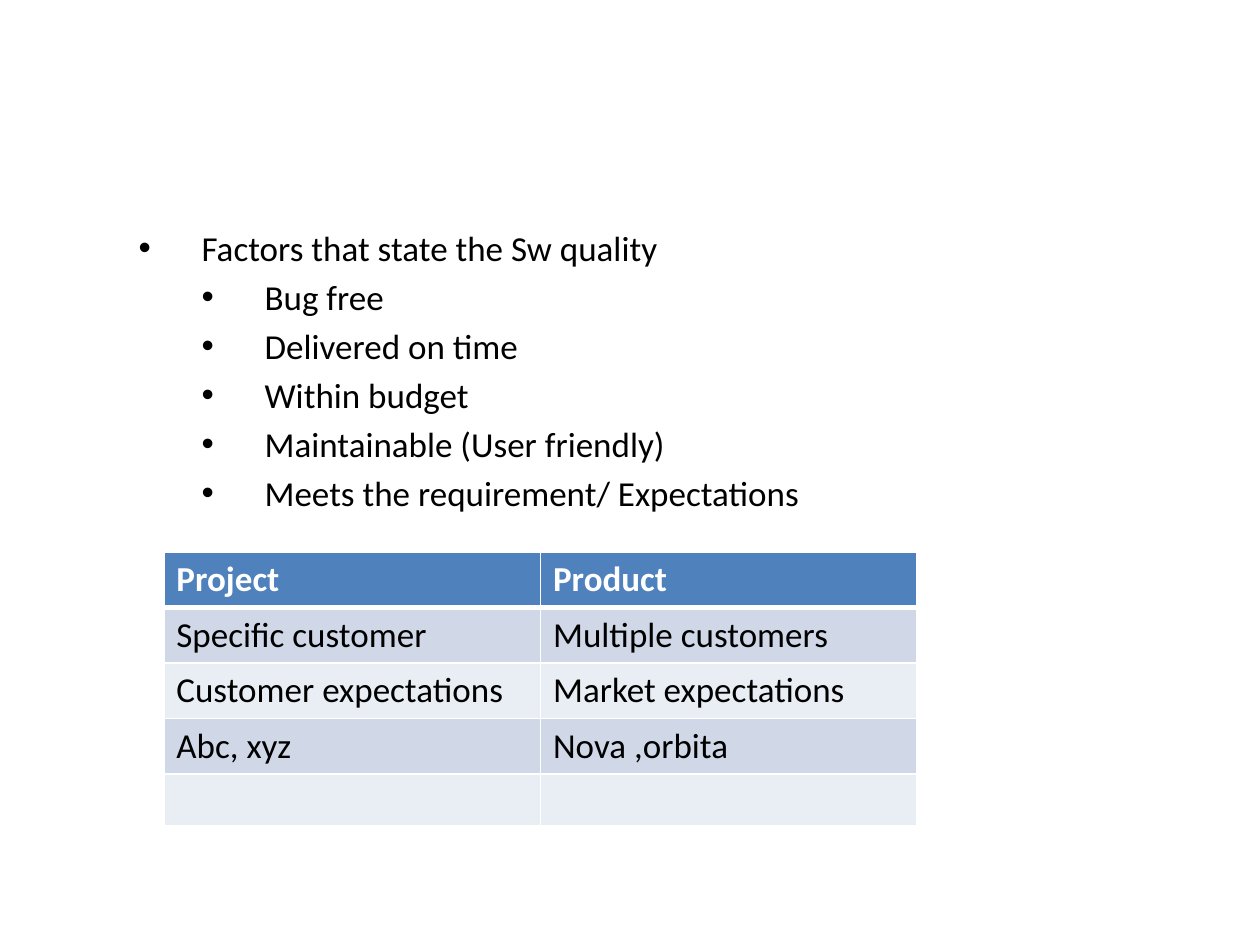
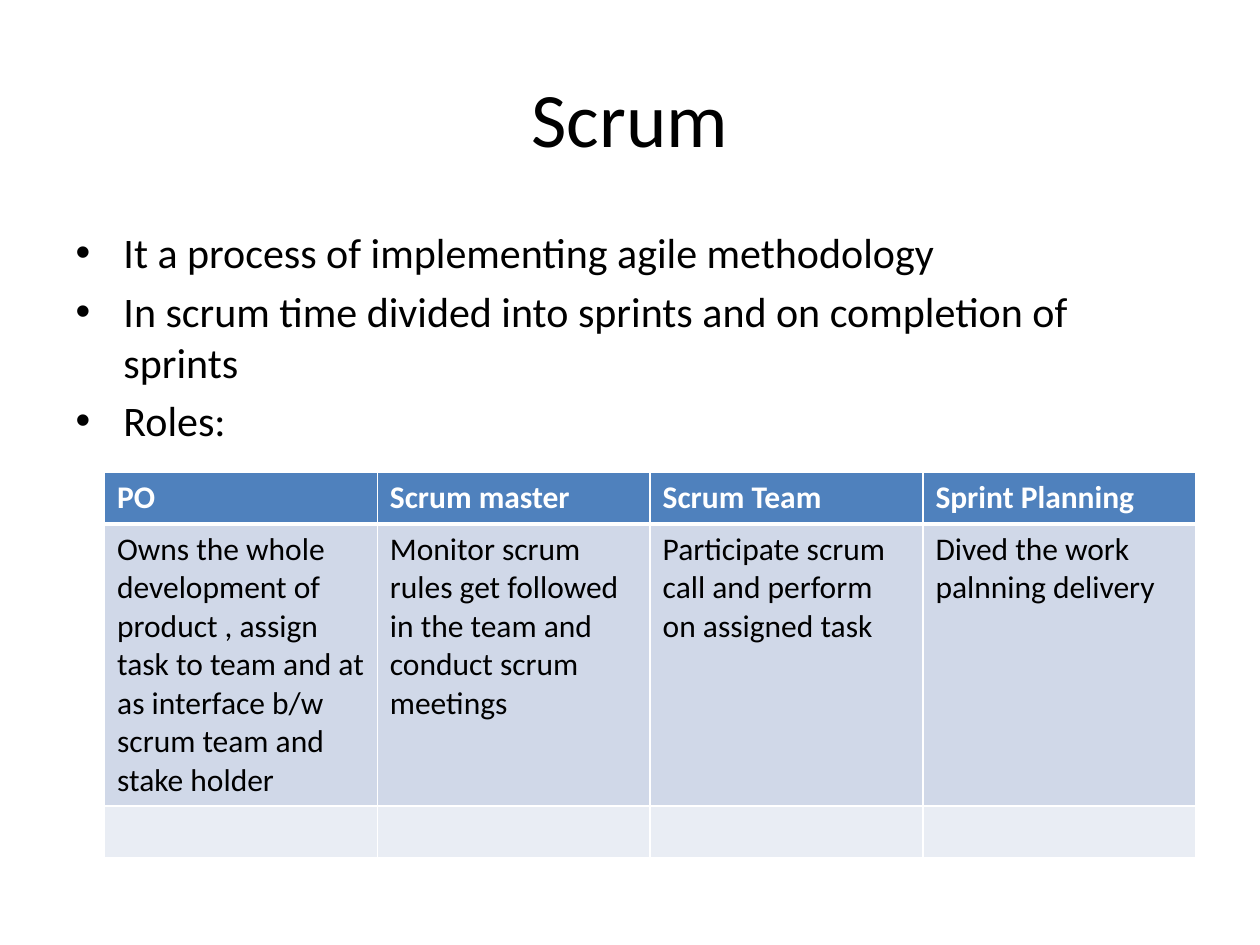
import pptx
import pptx.util
import pptx.dml.color
import pptx.enum.text
import pptx.oxml.ns
from lxml import etree

Inches, Pt = pptx.util.Inches, pptx.util.Pt

# Shared style
FONT = "Calibri"
COLORS = {"text": "000000", "header": "4F81BD", "header_text": "FFFFFF",
          "odd_row": "D0D8E8", "even_row": "E9EDF4", "border": "FFFFFF"}
TITLE_BOX = (0.5, 0.3, 9, 1.25)
BODY_BOX = (0.5, 1.75, 9, 4.95)
ROW_HEIGHT = 0.41
THIN, THICK = 1, 3
EMPTY_CELL_SIZE = 18

# Left margin and hanging indent of each list level, in inches
INDENTS = {0: (0.38, 0.38), 3: (1, 0.5), 4: (1.5, 0.5)}

# Content: list items are (level, text)
SLIDES = [
    {
        "title": None,
        "list_size": 20,
        "items": [
            (3, "Factors that state the Sw quality"),
            (4, "Bug free"),
            (4, "Delivered on time"),
            (4, "Within budget"),
            (4, "Maintainable (User friendly)"),
            (4, "Meets the requirement/ Expectations"),
        ],
        "table_at": (1.3, 4.38),
        "table_width": 5.98,
        "table_size": 20,
        "rows": [
            ("Project", "Product"),
            ("Specific customer", "Multiple customers"),
            ("Customer expectations", "Market expectations"),
            ("Abc, xyz", "Nova ,orbita"),
            ("", ""),
        ],
    },
    {
        "title": "Scrum",
        "list_size": 24,
        "items": [
            (0, "It a process of implementing agile methodology"),
            (0, "In scrum time divided into sprints and on completion of sprints"),
            (0, "Roles:"),
        ],
        "table_at": (0.83, 3.75),
        "table_width": 8.66,
        "table_size": 18,
        "rows": [
            ("PO", "Scrum master", "Scrum Team", "Sprint Planning"),
            ("Owns the whole development of product , assign task to team "
             "and at as interface b/w scrum team and stake holder",
             "Monitor scrum rules get followed in the team and conduct scrum meetings",
             "Participate scrum call and perform on assigned task",
             "Dived the work palnning delivery"),
            ("", "", "", ""),
        ],
    },
]


def rgb(name):
    return pptx.dml.color.RGBColor.from_string(COLORS[name])


def add_element(parent, tag, **attributes):
    return etree.SubElement(parent, pptx.oxml.ns.qn(tag), attributes)


def place(shape, box):
    shape.left, shape.top, shape.width, shape.height = map(Inches, box)


def style_font(font, size, color="text", bold=False):
    font.name, font.size, font.bold = FONT, Pt(size), bold
    font.color.rgb = rgb(color)


def add_title(slide, text):
    title = slide.shapes.title
    if text is None:
        title.element.getparent().remove(title.element)
        return
    place(title, TITLE_BOX)
    frame = title.text_frame
    frame.text = text
    frame.vertical_anchor = pptx.enum.text.MSO_ANCHOR.MIDDLE
    paragraph = frame.paragraphs[0]
    paragraph.alignment = pptx.enum.text.PP_ALIGN.CENTER
    style_font(paragraph.runs[0].font, 44)


def add_list(slide, items, size):
    body = slide.placeholders[1]
    place(body, BODY_BOX)
    frame = body.text_frame
    frame.text = "\n".join(text for level, text in items)
    for index, (paragraph, (level, text)) in enumerate(zip(frame.paragraphs, items)):
        paragraph.level = level
        paragraph.space_before = Pt(0 if index == 0 else 0.2 * size)
        left, hanging = INDENTS[level]
        properties = paragraph._p.get_or_add_pPr()
        properties.set("marL", str(Inches(left)))
        properties.set("indent", str(-Inches(hanging)))
        add_element(properties, "a:buFont", typeface="Arial")
        add_element(properties, "a:buChar", char="•")
        style_font(paragraph.runs[0].font, size)


def add_borders(cell, row):
    # The line under the header row is thicker than the rest
    widths = {"L": THIN, "R": THIN,
              "T": THICK if row == 1 else THIN,
              "B": THICK if row == 0 else THIN}
    properties = cell._tc.get_or_add_tcPr()
    for side, width in widths.items():
        line = add_element(properties, f"a:ln{side}", w=str(Pt(width)))
        fill = add_element(line, "a:solidFill")
        add_element(fill, "a:srgbClr", val=COLORS["border"])


def add_table(slide, rows, position, width, size):
    left, top = position
    table = slide.shapes.add_table(
        len(rows), len(rows[0]), Inches(left), Inches(top),
        Inches(width), Inches(ROW_HEIGHT * len(rows))).table
    for row, texts in enumerate(rows):
        header = row == 0
        fill = "header" if header else "odd_row" if row % 2 else "even_row"
        for column, text in enumerate(texts):
            cell = table.cell(row, column)
            add_borders(cell, row)
            cell.fill.solid()
            cell.fill.fore_color.rgb = rgb(fill)
            cell.text = text
            paragraph = cell.text_frame.paragraphs[0]
            if text:
                style_font(paragraph.runs[0].font, size,
                           "header_text" if header else "text", header)
            else:
                paragraph.font.size = Pt(EMPTY_CELL_SIZE)


def main():
    presentation = pptx.Presentation()
    presentation.slide_width, presentation.slide_height = Inches(10), Inches(7.5)
    for content in SLIDES:
        slide = presentation.slides.add_slide(presentation.slide_layouts[1])
        add_title(slide, content["title"])
        add_list(slide, content["items"], content["list_size"])
        add_table(slide, content["rows"], content["table_at"],
                  content["table_width"], content["table_size"])
    presentation.save("out.pptx")


if __name__ == "__main__":
    main()
